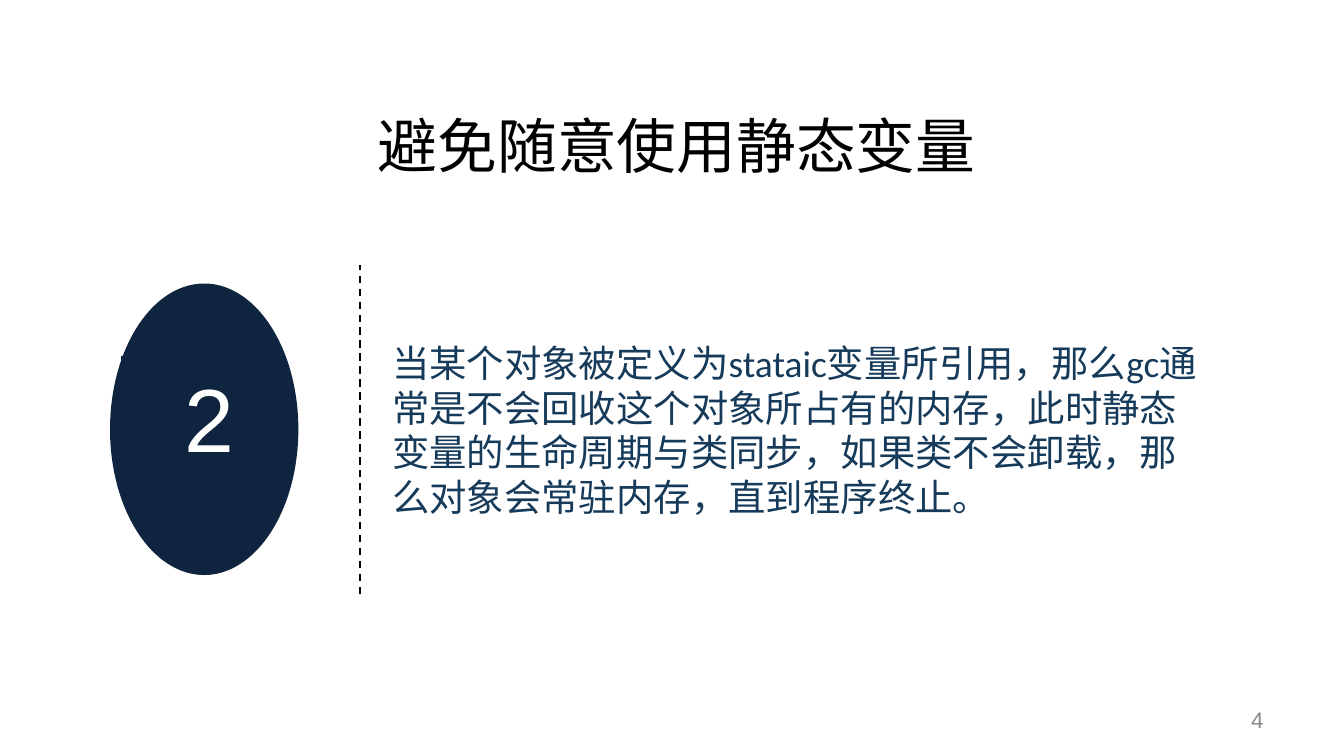
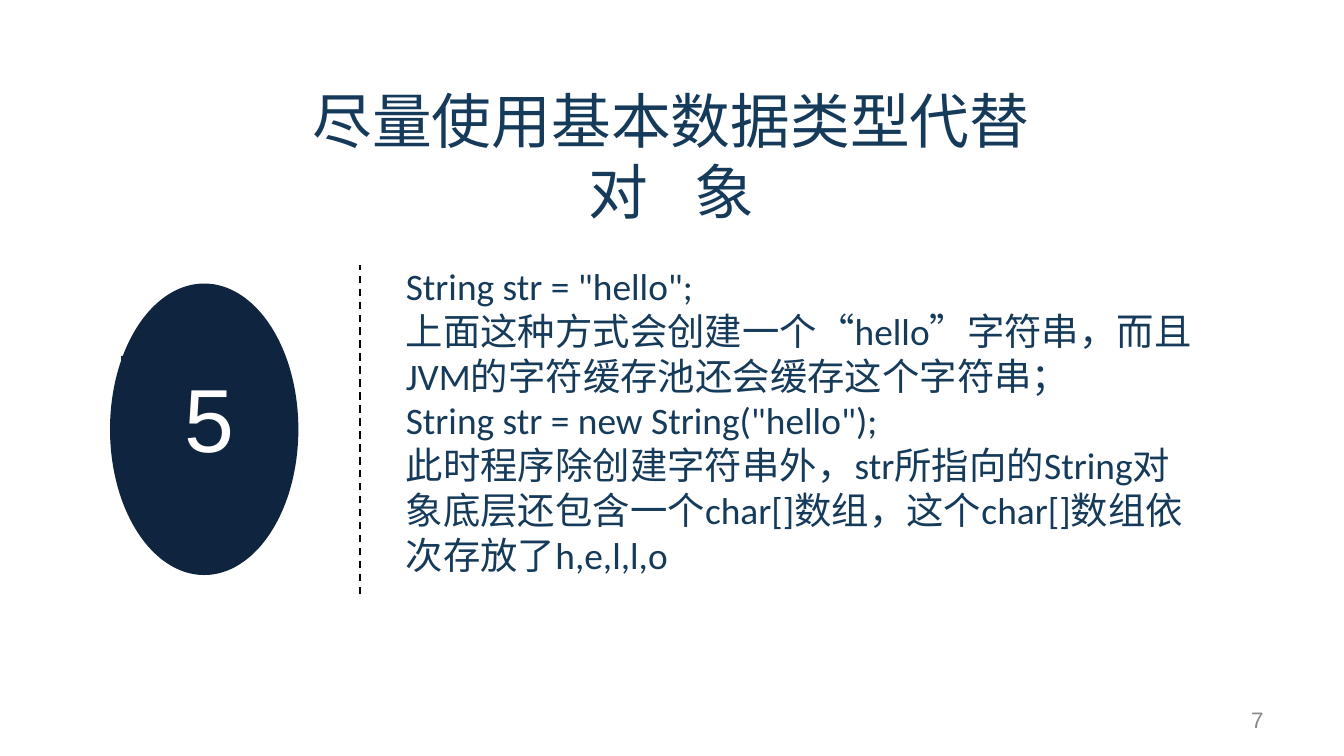
from pptx import Presentation
from pptx import util as u
from pptx.dml.color import RGBColor
from pptx.enum import dml, shapes, text
from pptx.oxml.xmlchemy import OxmlElement

COLORS = {
    "black": "000000",
    "white": "FFFFFF",
    "badge": "0F243E",
    "navy": "163A5A",
    "grey": "898989",
}


def color(name):
    return RGBColor.from_string(COLORS[name])


def box(left, top, width, height):
    return [u.Cm(length) for length in (left, top, width, height)]


class TipDeck:
    """Holds the shared style and the slide being drawn."""

    def __init__(self):
        self.presentation = Presentation()
        self.presentation.slide_width = u.Cm(25.4)
        self.presentation.slide_height = u.Cm(14.29)
        self.slide = None

    def new_slide(self):
        blank = self.presentation.slide_layouts[6]
        self.slide = self.presentation.slides.add_slide(blank)
        background = self.slide.background.fill
        background.solid()
        background.fore_color.rgb = color("white")

    def add_text(self, shape, paragraphs, size, font, ink,
                 align=text.PP_ALIGN.LEFT, anchor=text.MSO_ANCHOR.TOP,
                 fit=text.MSO_AUTO_SIZE.SHAPE_TO_FIT_TEXT):
        """Fill a shape; each paragraph is a list of (text, letter spacing in points)."""
        frame = shape.text_frame
        frame.word_wrap = True
        frame.auto_size = fit
        frame.vertical_anchor = anchor
        for index, runs in enumerate(paragraphs):
            paragraph = frame.add_paragraph() if index else frame.paragraphs[0]
            paragraph.alignment = align
            for words, spacing in runs:
                run = paragraph.add_run()
                run.text = words
                run.font.size = u.Pt(size)
                run.font.name = font
                run.font.color.rgb = color(ink)
                if spacing:
                    run._r.get_or_add_rPr().set("spc", str(round(spacing * 100)))

    def title(self, place, runs, font, ink):
        shape = self.slide.shapes.add_textbox(*box(*place))
        self.add_text(shape, [runs], 32, font, ink, text.PP_ALIGN.CENTER)

    def body(self, place, lines):
        shape = self.slide.shapes.add_textbox(*box(*place))
        self.add_text(shape, [[(line, 0)] for line in lines], 20, "Calibri", "navy")

    def badge(self, number):
        """Dark ellipse with the tip number on a plate of the same colour."""
        group = self.slide.shapes.add_group_shape()
        parts = (
            (shapes.MSO_SHAPE.OVAL, (2.08, 5.36, 3.56, 5.51)),
            (shapes.MSO_SHAPE.RECTANGLE, (2.29, 6.73, 2.92, 2.29)),
        )
        for preset, place in parts:
            shape = group.shapes.add_shape(preset, *box(*place))
            shape.shadow.inherit = False
            shape.fill.solid()
            shape.fill.fore_color.rgb = color("badge")
            shape.line.fill.background()
        shape.text_frame.margin_left = u.Cm(1.19)
        self.add_text(shape, [[(number, 0)]], 48, "Arial", "white")

    def divider(self):
        x = u.Cm(6.81)
        line = self.slide.shapes.add_connector(
            shapes.MSO_CONNECTOR.STRAIGHT, x, u.Cm(11.23), x, u.Cm(5))
        line.line.color.rgb = color("black")
        line.line.width = u.Pt(1)
        line.line.dash_style = dml.MSO_LINE.DASH
        line._element.spPr.append(OxmlElement("a:effectLst"))

    def page_number(self, number):
        shape = self.slide.shapes.add_textbox(*box(18.21, 13.23, 5.92, 0.76))
        self.add_text(shape, [[(number, 0)]], 12, "Arial", "grey",
                      text.PP_ALIGN.RIGHT, text.MSO_ANCHOR.MIDDLE,
                      text.MSO_AUTO_SIZE.NONE)

    def shared_parts(self, tip, page):
        self.badge(tip)
        self.divider()
        self.page_number(page)


def main():
    deck = TipDeck()

    deck.new_slide()
    deck.body((7.16, 6.3, 15.72, 3.66), [
        "当某个对象被定义为stataic变量所引用，那么gc通常是不会回收这个对象所占有的内存，"
        "此时静态变量的生命周期与类同步，如果类不会卸载，那么对象会常驻内存，直到程序终止。",
    ])
    deck.title((5.44, 1.93, 14.71, 1.63), [("避免随意使用静态变量", 0)],
               "Calibri", "black")
    deck.shared_parts("2", "4")

    deck.new_slide()
    deck.body((7.42, 4.85, 15.37, 6.2), [
        'String str = "hello";',
        "上面这种方式会创建一个“hello”字符串，而且JVM的字符缓存池还会缓存这个字符串；",
        'String str = new String("hello");',
        "此时程序除创建字符串外，str所指向的String对象底层还包含一个char[]数组，"
        "这个char[]数组依次存放了h,e,l,l,o",
    ])
    deck.title((5.33, 1.45, 14.71, 2.97),
               [("尽量使用基本数据类型代替对", 0), (" ", 17.8), ("象", 0)],
               "Arial", "navy")
    deck.shared_parts("5", "7")

    deck.presentation.save("out.pptx")


if __name__ == "__main__":
    main()
